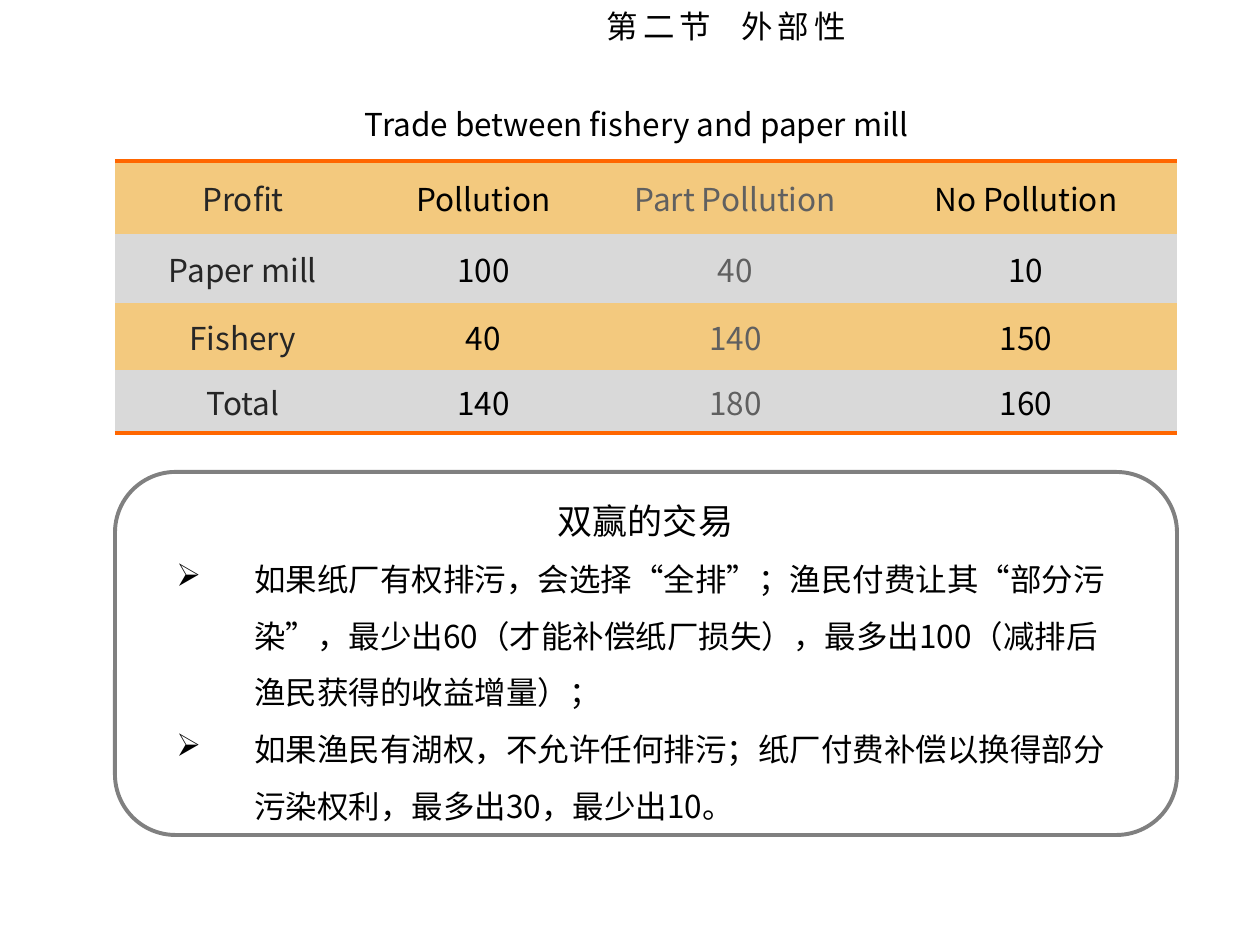
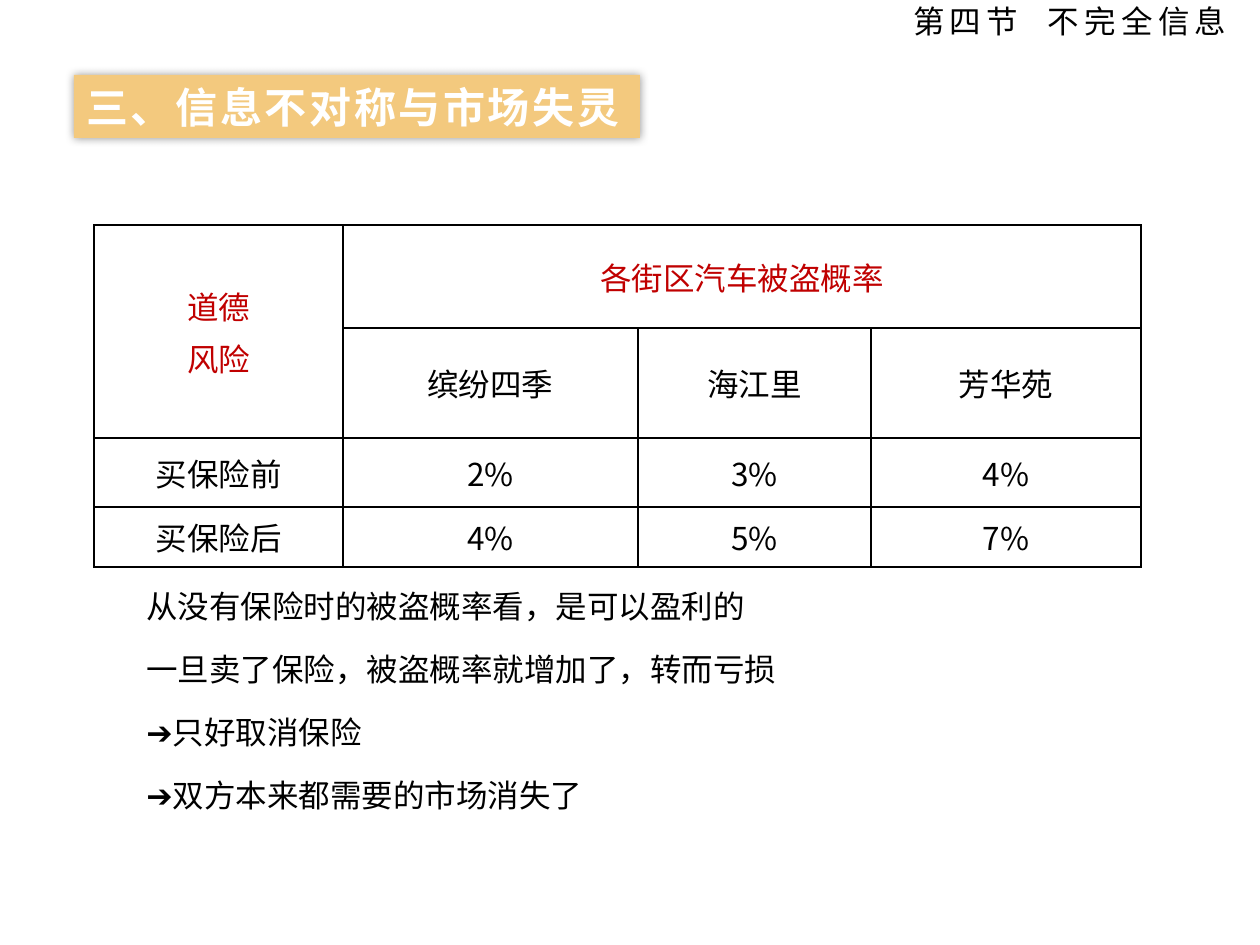
from itertools import product

from lxml.etree import SubElement
from pptx import Presentation
from pptx.dml.color import RGBColor
from pptx.enum.shapes import MSO_SHAPE
from pptx.enum.text import MSO_ANCHOR, PP_ALIGN
from pptx.oxml.ns import qn
from pptx.util import Pt

PX = 914400 / 126
FONT = "Noto Sans CJK SC"
NO_STYLE = "{2D5ABB26-0587-4C30-8999-92F81FD0307C}"

BLACK = RGBColor(0x00, 0x00, 0x00)
WHITE = RGBColor(0xFF, 0xFF, 0xFF)
CHARCOAL = RGBColor(0x26, 0x26, 0x26)
GREY = RGBColor(0x60, 0x60, 0x60)
FRAME_GREY = RGBColor(0x80, 0x80, 0x80)
BAND_GREY = RGBColor(0xD9, 0xD9, 0xD9)
SAND = RGBColor(0xF3, 0xC9, 0x7E)
ORANGE = RGBColor(0xFF, 0x66, 0x00)
RED = RGBColor(0xC0, 0x00, 0x00)

TRADE = {
    "title": "第二节  外部性",
    "caption": "Trade between fishery and paper mill",
    "columns": (256, 225, 279, 302),
    "heights": (73, 69, 67, 63),
    "rows": [
        ("Profit", "Pollution", "Part Pollution", "No Pollution"),
        ("Paper mill", "100", "40", "10"),
        ("Fishery", "40", "140", "150"),
        ("Total", "140", "180", "160"),
    ],
    "heading": "双赢的交易",
    "points": [
        "如果纸厂有权排污，会选择“全排”；渔民付费让其“部分污染”，最少出60（才能补偿纸厂损失），"
        "最多出100（减排后渔民获得的收益增量）；",
        "如果渔民有湖权，不允许任何排污；纸厂付费补偿以换得部分污染权利，最多出30，最少出10。",
    ],
}
INSURANCE = {
    "title": "第四节  不完全信息",
    "banner": "三、信息不对称与市场失灵",
    "columns": (249, 295, 233, 270),
    "heights": (103, 110, 69, 60),
    "rows": [
        ("道德\n风险", "各街区汽车被盗概率", "", ""),
        ("", "缤纷四季", "海江里", "芳华苑"),
        ("买保险前", "2%", "3%", "4%"),
        ("买保险后", "4%", "5%", "7%"),
    ],
    "remarks": [
        "从没有保险时的被盗概率看，是可以盈利的",
        "一旦卖了保险，被盗概率就增加了，转而亏损",
        "➔只好取消保险",
        "➔双方本来都需要的市场消失了",
    ],
}


def scaled(*lengths):
    return [round(length * PX) for length in lengths]


def write(frame, lines, size=18, color=BLACK, align=PP_ALIGN.LEFT,
          leading=None, gap=0, bold=False, tracking=0):
    """Add one paragraph per line, filling the empty first paragraph first."""
    for line in lines:
        first = not frame.paragraphs[0].runs
        para = frame.paragraphs[0] if first else frame.add_paragraph()
        para.alignment = align
        if leading:
            para.line_spacing = leading
        if gap and not first:
            para.space_before = Pt(gap)
        span = para.add_run()
        span.text = line
        span.font.size, span.font.name, span.font.bold = Pt(size), FONT, bold
        span.font.color.rgb = color
        properties = span.font._element
        SubElement(properties, qn("a:ea"), typeface=FONT)
        if tracking:
            properties.set("spc", str(round(tracking * 100)))


def add_box(page, *place):
    frame = page.shapes.add_textbox(*scaled(*place)).text_frame
    frame.word_wrap = True
    return frame


def add_title(page, text, place, align):
    frame = add_box(page, *place)
    frame.margin_top = frame.margin_bottom = 0
    frame.vertical_anchor = MSO_ANCHOR.MIDDLE
    write(frame, [text], align=align, tracking=3)


def add_border(cell, side, color, width):
    line = SubElement(cell._tc.get_or_add_tcPr(), qn("a:ln" + side), w=str(Pt(width)))
    fill = SubElement(line, qn("a:solidFill"))
    SubElement(fill, qn("a:srgbClr"), val=str(color))


def add_grid(page, left, top, content):
    columns, heights = content["columns"], content["heights"]
    place = scaled(left, top, sum(columns), sum(heights))
    table = page.shapes.add_table(len(heights), len(columns), *place).table
    table.first_row = table.horz_banding = False
    table._tbl.tblPr.find(qn("a:tableStyleId")).text = NO_STYLE
    for column, width in zip(table.columns, scaled(*columns)):
        column.width = width
    for row, height in zip(table.rows, scaled(*heights)):
        row.height = height
    return table


def fill_cell(cell, text, color):
    cell.vertical_anchor = MSO_ANCHOR.MIDDLE
    if text:
        write(cell.text_frame, text.split("\n"), color=color, align=PP_ALIGN.CENTER, gap=3.6)


def build_trade(page):
    outline = page.shapes.add_shape(MSO_SHAPE.ROUNDED_RECTANGLE, *scaled(115, 472, 1062, 363))
    outline.shadow.inherit = False
    outline.fill.background()
    outline.line.color.rgb, outline.line.width = FRAME_GREY, Pt(2.25)

    table = add_grid(page, 115, 161, TRADE)
    column_colors = (CHARCOAL, BLACK, GREY, BLACK)
    for row, column in product(range(4), range(4)):
        cell = table.cell(row, column)
        fill_cell(cell, TRADE["rows"][row][column], column_colors[column])
        if row in (0, 3):
            add_border(cell, "T" if row == 0 else "B", ORANGE, 2.25)
        cell.fill.solid()
        cell.fill.fore_color.rgb = BAND_GREY if row % 2 else SAND

    write(add_box(page, 106, 99, 1062, 50), [TRADE["caption"]], align=PP_ALIGN.CENTER)

    deal = add_box(page, 164, 472, 963, 355)
    write(deal, [TRADE["heading"]], size=20, align=PP_ALIGN.CENTER, leading=1.5)
    write(deal, TRADE["points"], leading=1.5)
    indent = scaled(78)[0]
    for para in deal.paragraphs[1:]:
        properties = para._p.get_or_add_pPr()
        properties.set("marL", str(indent))
        properties.set("indent", str(-indent))
        SubElement(properties, qn("a:buChar"), char="➢")
    add_title(page, TRADE["title"], (594, 5, 640, 42), PP_ALIGN.LEFT)


def add_banner(page, text):
    banner = page.shapes.add_shape(MSO_SHAPE.RECTANGLE, *scaled(74, 75, 566, 63))
    banner.fill.solid()
    banner.fill.fore_color.rgb = SAND
    banner.line.fill.background()
    banner.shadow.inherit = False
    effects = banner._element.spPr.find(qn("a:effectLst"))
    shadow = SubElement(effects, qn("a:outerShdw"), blurRad=str(Pt(5)), dist="0", dir="0")
    shade = SubElement(shadow, qn("a:srgbClr"), val=str(BLACK))
    SubElement(shade, qn("a:alpha"), val="40000")
    frame = banner.text_frame
    frame.margin_top = frame.margin_bottom = 0
    frame.vertical_anchor = MSO_ANCHOR.MIDDLE
    write(frame, [text], size=24, color=WHITE, bold=True, tracking=1.5)


def build_insurance(page):
    table = add_grid(page, 94, 225, INSURANCE)
    table.cell(0, 0).merge(table.cell(1, 0))
    table.cell(0, 1).merge(table.cell(0, 3))
    for row, column in product(range(4), range(4)):
        cell = table.cell(row, column)
        fill_cell(cell, INSURANCE["rows"][row][column], RED if row == 0 else BLACK)
        for side in "LRTB":
            add_border(cell, side, BLACK, 1)
        cell.fill.background()

    write(add_box(page, 134, 562, 1126, 258), INSURANCE["remarks"], leading=1.5, gap=3.6)
    add_banner(page, INSURANCE["banner"])
    add_title(page, INSURANCE["title"], (105, 0, 1134, 42), PP_ALIGN.RIGHT)


def main():
    deck = Presentation()
    deck.slide_width, deck.slide_height = scaled(1260, 945)
    for build in (build_trade, build_insurance):
        build(deck.slides.add_slide(deck.slide_layouts[6]))
    deck.save("out.pptx")


if __name__ == "__main__":
    main()
